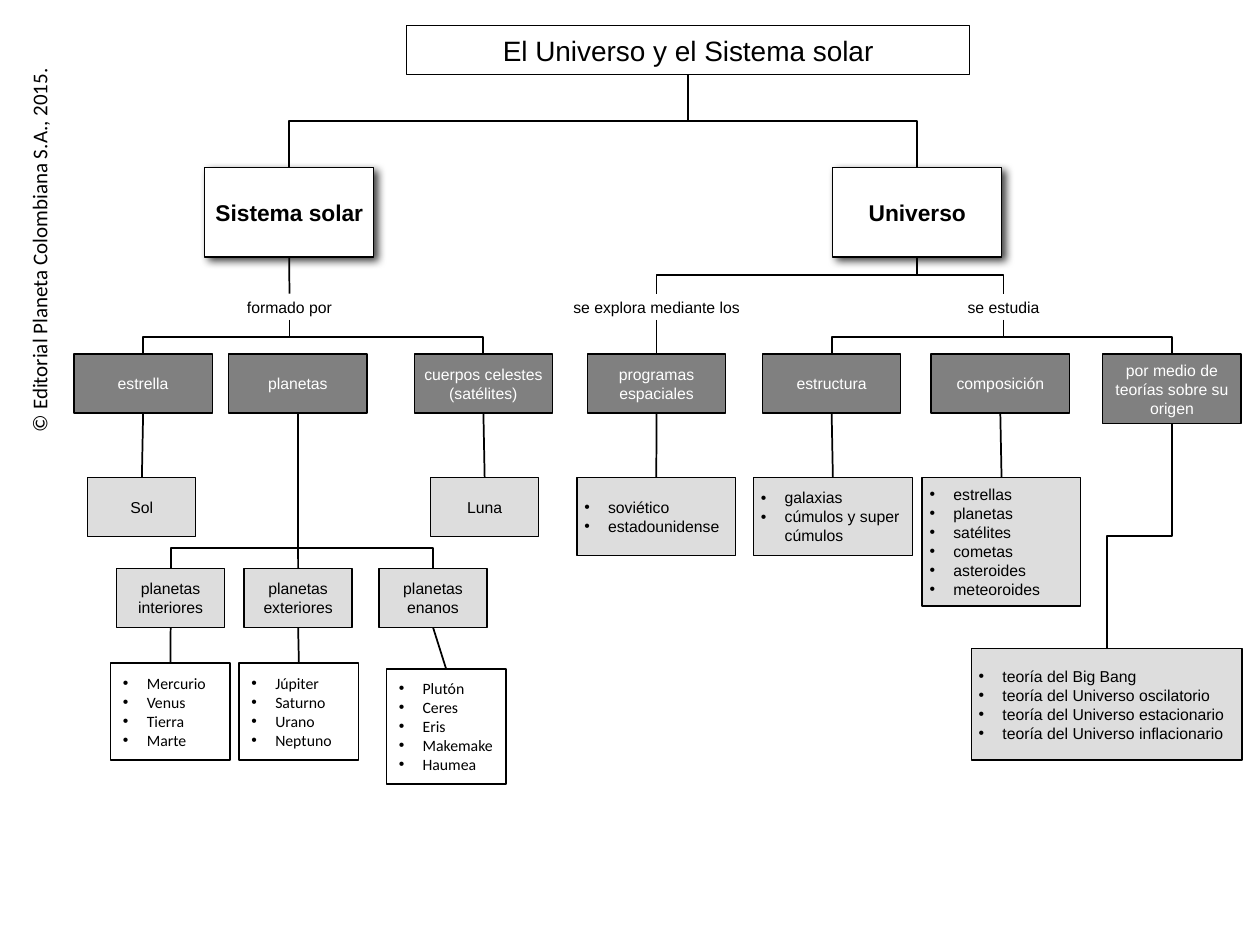
from lxml import etree
from pptx import Presentation
from pptx import util as u
from pptx.dml.color import RGBColor
from pptx.enum import shapes, text
from pptx.oxml import ns

BLACK = RGBColor(0, 0, 0)
WHITE = RGBColor(255, 255, 255)
DARK = RGBColor(0x80, 0x80, 0x80)
LIGHT = RGBColor(0xDD, 0xDD, 0xDD)

BRANCH = (3.4, 1.8)
TOPIC = (2.79, 1.19)
LEAF = (2.18, 1.19)
LABEL_Y, TOPIC_Y, DETAIL_Y = 2.54, 3.76, 6.25


def sub(parent, tag, **attrs):
    el = etree.SubElement(parent, ns.qn(tag))
    for name, value in attrs.items():
        el.set(name, str(value))
    return el


def write(tf, lines, size, font="Arial", color=BLACK, bold=False, align=None, bullets=False):
    for i, line in enumerate(lines):
        p = tf.add_paragraph() if i else tf.paragraphs[0]
        p.alignment = align
        if bullets:
            pPr = p._p.get_or_add_pPr()
            pPr.set("marL", str(u.Cm(0.48)))
            pPr.set("indent", str(-u.Cm(0.48)))
            sub(pPr, "a:buFont", typeface="Arial")
            sub(pPr, "a:buChar", char="•")
        r = p.add_run()
        r.text = line
        r.font.size = u.Pt(size)
        r.font.name = font
        r.font.bold = bold
        r.font.color.rgb = color


def add_box(s, x, y, size, lines, fill=WHITE, line=0.75, inset=(0.15, 0.13),
            pt=9, bullets=False, **style):
    w, h = size
    sp = s.shapes.add_shape(shapes.MSO_SHAPE.RECTANGLE, u.Cm(x), u.Cm(y), u.Cm(w), u.Cm(h))
    sp.shadow.inherit = False
    sp.fill.solid()
    sp.fill.fore_color.rgb = fill
    if line:
        sp.line.color.rgb = BLACK
        sp.line.width = u.Pt(line)
    else:
        sp.line.fill.background()
    tf = sp.text_frame
    tf.word_wrap = True
    tf.vertical_anchor = text.MSO_ANCHOR.MIDDLE
    tf.margin_left = tf.margin_right = u.Cm(inset[0])
    tf.margin_top = tf.margin_bottom = u.Cm(inset[1])
    align = text.PP_ALIGN.LEFT if bullets else text.PP_ALIGN.CENTER
    write(tf, lines, pt, align=align, bullets=bullets, **style)
    return sp


def add_branch(s, x, y, name):
    sp = add_box(s, x, y, BRANCH, [name], pt=13, bold=True)
    effects = sp._element.spPr.find(ns.qn("a:effectLst"))
    shadow = sub(effects, "a:outerShdw", blurRad=u.Pt(5), dist=u.Pt(3), dir=45 * 60000,
                 algn="tl", rotWithShape=0)
    sub(sub(shadow, "a:srgbClr", val=BLACK), "a:alpha", val=75000)
    return sp


def add_label(s, x, y, w, name):
    return add_box(s, x, y, (w, 0.53), [name], line=None, inset=(0.05, 0.03))


def add_topic(s, x, y, *lines, h=TOPIC[1]):
    return add_box(s, x, y, (TOPIC[0], h), lines, fill=DARK, color=WHITE)


def add_line(s, kind, x1, y1, x2, y2):
    c = s.shapes.add_connector(kind, x1, y1, x2, y2)
    c.line.color.rgb = BLACK
    c.line.width = u.Pt(1)
    sub(c._element.spPr, "a:effectLst")
    return c


def link(s, parent, child):
    add_line(s, shapes.MSO_CONNECTOR.STRAIGHT,
             parent.left + parent.width // 2, parent.top + parent.height,
             child.left + child.width // 2, child.top)


def elbow(s, parent, child, bend=0.5):
    x1, y1 = parent.left + parent.width // 2, parent.top + parent.height
    x2, y2 = child.left + child.width // 2, child.top
    w, h = y2 - y1, abs(x2 - x1)
    left, top = (x1 + x2 - w) // 2, (y1 + y2 - h) // 2
    c = add_line(s, shapes.MSO_CONNECTOR.ELBOW, left, top, left + w, top + h)
    xfrm = c._element.spPr.find(ns.qn("a:xfrm"))
    xfrm.set("rot", str((90 if x2 < x1 else 270) * 60000))
    if x2 > x1:
        xfrm.set("flipH", "1")
    guides = c._element.spPr.find(ns.qn("a:prstGeom")).find(ns.qn("a:avLst"))
    sub(guides, "a:gd", name="adj1", fmla=f"val {round(bend * 100000)}")


def add_title(s, x, y, w, h):
    return add_box(s, x, y, (w, h), ["El Universo y el Sistema solar"], pt=16)


def add_solar_system(s, x, y):
    branch = add_branch(s, x + 2.64, y, "Sistema solar")
    label = add_label(s, x + 2.49, y + LABEL_Y, 3.71, "formado por")
    star = add_topic(s, x, y + TOPIC_Y, "estrella")
    planets = add_topic(s, x + 3.12, y + TOPIC_Y, "planetas")
    bodies = add_topic(s, x + 6.86, y + TOPIC_Y, "cuerpos celestes", "(satélites)")
    link(s, branch, label)
    elbow(s, label, star)
    elbow(s, label, bodies)
    for topic, dx, name in ((star, 0.28, "Sol"), (bodies, 7.19, "Luna")):
        link(s, topic, add_box(s, x + dx, y + DETAIL_Y, LEAF, [name], fill=LIGHT))

    groups = (
        (0.86, "planetas interiores", 0.74, 9.98, 1.96,
         ["Mercurio", "Venus", "Tierra", "Marte"]),
        (3.43, "planetas exteriores", 3.33, 9.98, 1.96,
         ["Júpiter", "Saturno", "Urano", "Neptuno"]),
        (6.15, "planetas enanos", 6.3, 10.11, 2.31,
         ["Plutón", "Ceres", "Eris", "Makemake", "Haumea"]),
    )
    for dx, name, list_dx, list_dy, h, members in groups:
        group = add_box(s, x + dx, y + 8.08, LEAF, [name], fill=LIGHT)
        members_box = add_box(s, x + list_dx, y + list_dy, (2.41, h), members, line=1,
                              inset=(0.25, 0.13), font="Calibri", bullets=True)
        if "exteriores" in name:
            link(s, planets, group)
        else:
            elbow(s, planets, group, 0.87)
        link(s, group, members_box)
    return branch


def add_universe(s, x, y):
    branch = add_branch(s, x + 5.41, y, "Universo")
    explored = add_label(s, x, y + LABEL_Y, 3.71, "se explora mediante los")
    studied = add_label(s, x + 7.39, y + LABEL_Y, 2.92, "se estudia")
    elbow(s, branch, explored)
    elbow(s, branch, studied)

    columns = (
        (explored, 0.46, "programas espaciales", 0.25, 1.57, ["soviético", "estadounidense"]),
        (studied, 3.99, "estructura", 3.81, 1.57, ["galaxias", "cúmulos y super cúmulos"]),
        (None, 7.39, "composición", 7.21, 2.59,
         ["estrellas", "planetas", "satélites", "cometas", "asteroides", "meteoroides"]),
    )
    for label, dx, name, list_dx, h, items in columns:
        topic = add_topic(s, x + dx, y + TOPIC_Y, name)
        details = add_box(s, x + list_dx, y + DETAIL_Y, (3.2, h), items,
                          fill=LIGHT, bullets=True)
        link(s, topic, details)
        if label is explored:
            link(s, label, topic)
        elif label:
            elbow(s, label, topic)

    origin = add_topic(s, x + 10.85, y + TOPIC_Y, "por medio de teorías sobre su origen", h=1.4)
    kinds = ("Big Bang", "Universo oscilatorio", "Universo estacionario", "Universo inflacionario")
    theories = add_box(s, x + 8.2, y + 9.7, (5.46, 2.24),
                       [f"teoría del {kind}" for kind in kinds], fill=LIGHT, bullets=True)
    elbow(s, studied, origin)
    elbow(s, origin, theories)
    return branch


def add_credit(s, x, y, w, h):
    tb = s.shapes.add_textbox(u.Cm(x), u.Cm(y), u.Cm(w), u.Cm(h))
    tb.rotation = 270
    tb.text_frame.word_wrap = False
    write(tb.text_frame, ["© Editorial Planeta Colombiana S.A., 2015."], 12, font="Calibri")


def main():
    prs = Presentation()
    prs.slide_width, prs.slide_height = u.Cm(25.4), u.Cm(19.05)
    s = prs.slides.add_slide(prs.slide_layouts[6])
    add_credit(s, -3.17, 4.62, 7.92, 0.76)
    title = add_title(s, 8.2, 0.51, 11.35, 1)
    for branch in (add_solar_system(s, 1.49, 3.38), add_universe(s, 11.38, 3.38)):
        elbow(s, title, branch)
    prs.save("out.pptx")


if __name__ == "__main__":
    main()
